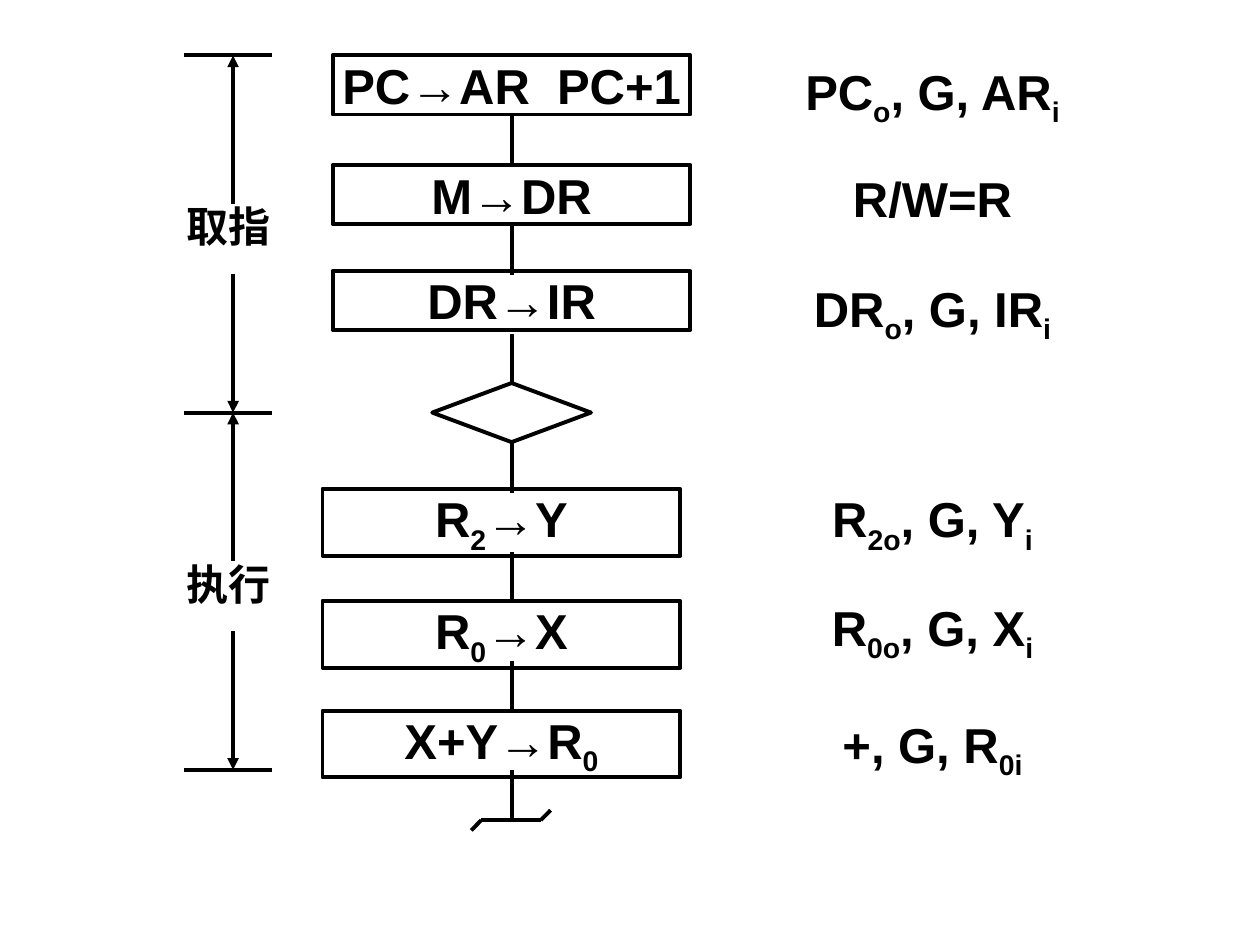
from itertools import pairwise

from lxml.etree import SubElement
from pptx import Presentation
from pptx.dml.color import RGBColor
from pptx.enum.shapes import MSO_CONNECTOR, MSO_SHAPE
from pptx.enum.text import MSO_ANCHOR, PP_ALIGN
from pptx.oxml.ns import qn
from pptx.util import Pt

TOP, BOTTOM = 0, 2


def color(hex_string):
    return RGBColor.from_string(hex_string)


def write(frame, text, size=28, align=PP_ALIGN.CENTER, font="Arial", ink="000000"):
    """Write one bold line; parts between underscores become subscripts."""
    frame.word_wrap = True
    frame.vertical_anchor = MSO_ANCHOR.TOP
    paragraph = frame.paragraphs[0]
    paragraph.alignment = align
    for index, part in enumerate(text.split("_")):
        if not part:
            continue
        run = paragraph.add_run()
        run.text = part
        run.font.name = font
        run.font.size = Pt(size)
        run.font.bold = True
        run.font.color.rgb = color(ink)
        if index % 2:
            run._r.get_or_add_rPr().set("baseline", "-25000")


class FlowSlide:
    """Holds the line style and the slide being drawn."""

    ink = "000000"
    weight = 2.25

    def __init__(self, slide):
        self.slide = slide

    def stroke(self, line):
        line.color.rgb = color(self.ink)
        line.width = Pt(self.weight)

    def outline(self, kind, left, top, width, height):
        shape = self.slide.shapes.add_shape(kind, Pt(left), Pt(top), Pt(width), Pt(height))
        shape.shadow.inherit = False
        shape.fill.background()
        self.stroke(shape.line)
        return shape

    def step(self, text, left, top, width, height):
        box = self.outline(MSO_SHAPE.RECTANGLE, left, top, width, height)
        frame = box.text_frame
        frame.margin_left = frame.margin_right = frame.margin_top = frame.margin_bottom = 0
        write(frame, text)
        return box

    def label(self, text, left, top, width, height, **text_format):
        box = self.slide.shapes.add_textbox(Pt(left), Pt(top), Pt(width), Pt(height))
        write(box.text_frame, text, **text_format)

    def line(self, start, end, arrow=None):
        """Draw a straight line; arrow is headEnd (at start) or tailEnd (at end)."""
        connector = self.slide.shapes.add_connector(
            MSO_CONNECTOR.STRAIGHT, *(Pt(value) for value in (*start, *end)))
        self.stroke(connector.line)
        properties = connector._element.spPr
        if arrow:
            SubElement(properties.find(qn("a:ln")), qn("a:" + arrow), type="triangle")
        SubElement(properties, qn("a:effectLst"))
        return connector


FLOW_X = 292.35
STEP_WIDTH = 204.5
FETCH_STEPS = [("PC→AR  PC+1", 31.7), ("M→DR", 94.3), ("DR→IR", 154.8)]
EXECUTE_STEPS = [("R_2_→Y", 279.4), ("R_0_→X", 343.4), ("X+Y→R_0_", 406.1)]
LINK_TOP, LINK_PITCH, LINK_LENGTH, LINK_COUNT = 66.2, 62.3, 28.4, 7
BREAK_MARK = [(269.3, 474.5), (275, 468.7), (309, 468.7), (314.6, 463)]

PHASES = ["取指", "执行"]
PHASE_TOP, PHASE_HEIGHT = 31.7, 204.1
PHASE_X = 133.2

SIGNALS = [
    ("PC_o_, G, AR_i_", 31.7),
    ("R/W=R", 92.9),
    ("DR_o_, G, IR_i_", 155.5),
    ("R_2o_, G, Y_i_", 275.8),
    ("R_0o_, G, X_i_", 337.7),
    ("+, G, R_0i_", 404.6),
]


def draw_flow(page):
    fetch = [page.step(text, FLOW_X - STEP_WIDTH / 2, top, STEP_WIDTH, 33.8)
             for text, top in FETCH_STEPS]
    for text, top in EXECUTE_STEPS:
        page.step(text, 184.3, top, STEP_WIDTH, 38.2)
    decision = page.outline(MSO_SHAPE.DIAMOND, FLOW_X - 45.35, 218.9, 90.7, 33.8)

    links = []
    for index in range(LINK_COUNT):
        top = LINK_TOP + index * LINK_PITCH
        links.append(page.line((FLOW_X, top), (FLOW_X, top + LINK_LENGTH)))
    links[0].begin_connect(fetch[0], BOTTOM)
    links[0].end_connect(fetch[1], TOP)
    links[1].begin_connect(fetch[1], BOTTOM)
    links[2].end_connect(decision, TOP)
    links[3].begin_connect(decision, BOTTOM)

    for start, end in pairwise(BREAK_MARK):
        page.line(start, end)


def draw_phases(page):
    for index in range(len(PHASES) + 1):
        y = PHASE_TOP + index * PHASE_HEIGHT
        page.line((105.1, y), (155.5, y))
    for index, name in enumerate(PHASES):
        top = PHASE_TOP + index * PHASE_HEIGHT
        page.line((PHASE_X, top), (PHASE_X, top + 85), arrow="headEnd")
        page.line((PHASE_X, top + 125), (PHASE_X, top + PHASE_HEIGHT), arrow="tailEnd")
        page.label(name, 99.4, top + 79.6, 67.7, 36, size=24, align=PP_ALIGN.LEFT)


def main():
    presentation = Presentation()
    presentation.slide_width = Pt(720)
    presentation.slide_height = Pt(540)
    page = FlowSlide(presentation.slides.add_slide(presentation.slide_layouts[6]))
    draw_flow(page)
    draw_phases(page)
    for text, top in SIGNALS:
        page.label(text, 445, top, 175.7, 45.4)
    presentation.save("out.pptx")


if __name__ == "__main__":
    main()
